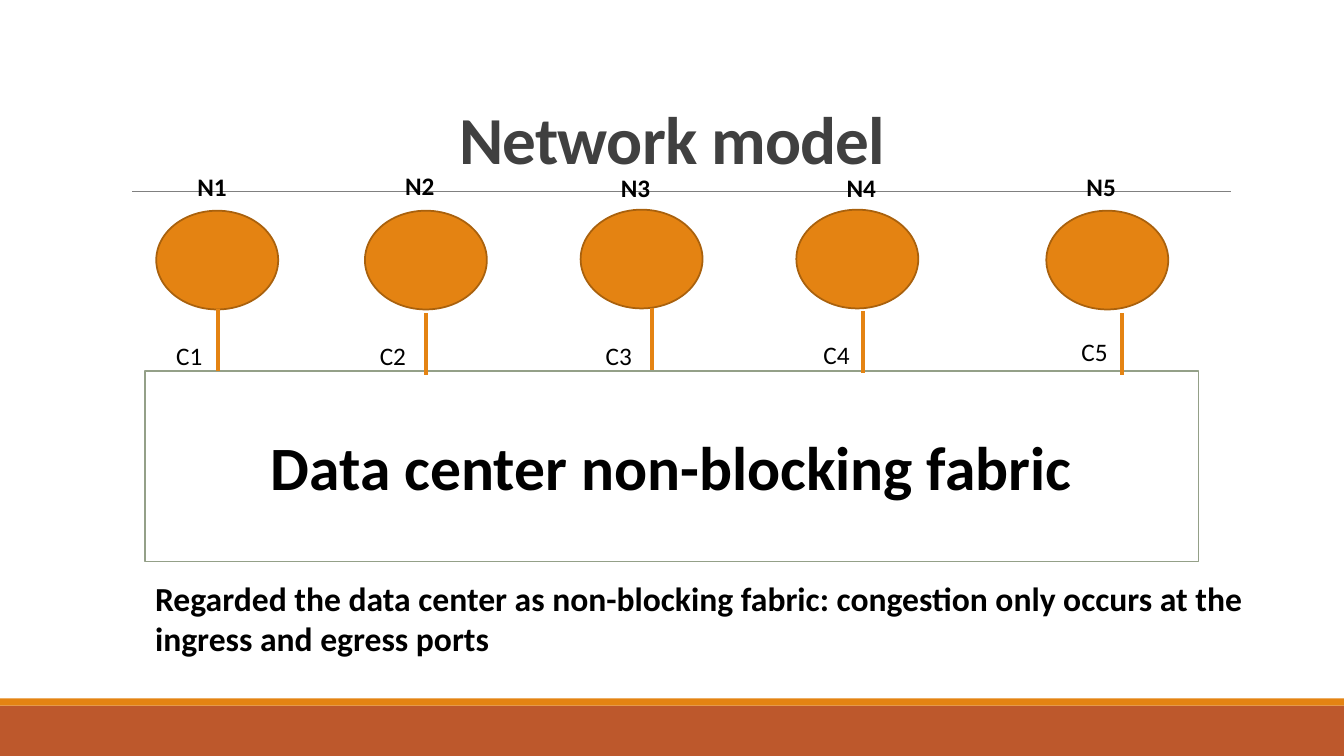
from dataclasses import dataclass

import lxml.etree
import pptx
import pptx.dml.color
import pptx.enum.shapes
import pptx.enum.text
import pptx.oxml.ns
import pptx.util

# Grid: 0.1 inch columns and rows
CELL = 0.1
COLUMNS, ROWS = 133.33, 75

ORANGE, RUST, BROWN = "E48312", "BD582C", "A9610D"
SAGE, GREY, CHARCOAL = "94A088", "808080", "404040"
BLACK, WHITE = "000000", "FFFFFF"

RECTANGLE = pptx.enum.shapes.MSO_SHAPE.RECTANGLE
OVAL = pptx.enum.shapes.MSO_SHAPE.OVAL
CENTER = pptx.enum.text.PP_ALIGN.CENTER
LEFT = pptx.enum.text.PP_ALIGN.LEFT
TOP = pptx.enum.text.MSO_ANCHOR.TOP
MIDDLE = pptx.enum.text.MSO_ANCHOR.MIDDLE
BOTTOM = pptx.enum.text.MSO_ANCHOR.BOTTOM
GROW = pptx.enum.text.MSO_AUTO_SIZE.SHAPE_TO_FIT_TEXT
FIXED = pptx.enum.text.MSO_AUTO_SIZE.NONE

NODE_SIZE = (12.1, 9.8)
NAME_SIZE = (9.1, 4)
CAPACITY_SIZE = (5, 4)
LINK_LENGTH = 6.1


@dataclass
class Node:
    """A host on the fabric; positions are (column, row)."""
    circle: tuple[float, float]
    name: tuple[float, float]
    link: tuple[float, float]
    capacity: tuple[float, float]


NODES = [
    Node((15.5, 20.9), (18.6, 16.5), (21.6, 30.7), (16.5, 33.3)),
    Node((36.2, 20.9), (39.2, 16.4), (42.3, 31.1), (36.7, 33.3)),
    Node((57.6, 20.8), (60.6, 16.6), (64.7, 30.6), (59.1, 33.3)),
    Node((79.0, 20.8), (83.0, 16.6), (85.6, 30.9), (80.7, 33.2)),
    Node((103.8, 20.9), (106.8, 16.5), (111.3, 31.1), (106.3, 32.9)),
]


def grid(*cells: float) -> list[pptx.util.Length]:
    return [pptx.util.Inches(cell * CELL) for cell in cells]


def color(value: str) -> pptx.dml.color.RGBColor:
    return pptx.dml.color.RGBColor.from_string(value)


def apply(target: object, values: dict) -> None:
    for name, value in values.items():
        setattr(target, name, value)


def write(shape, text: str, size: float, bold: bool = True, ink: str = BLACK,
          alignment=LEFT, anchor=TOP, auto_size=GROW):
    frame = shape.text_frame
    apply(frame, {"word_wrap": True, "auto_size": auto_size, "vertical_anchor": anchor})
    paragraph = frame.paragraphs[0]
    paragraph.alignment = alignment
    run = paragraph.add_run()
    run.text = text
    apply(run.font, {"name": "Calibri", "size": pptx.util.Pt(size), "bold": bold})
    run.font.color.rgb = color(ink)
    return paragraph


def add_text(slide, position: tuple, size: tuple, text: str, points: float, **style):
    box = slide.shapes.add_textbox(*grid(*position, *size))
    return write(box, text, points, **style)


def add_block(slide, kind, position: tuple, size: tuple, fill: str, outline: str = ""):
    shape = slide.shapes.add_shape(kind, *grid(*position, *size))
    shape.shadow.inherit = False
    shape.fill.solid()
    shape.fill.fore_color.rgb = color(fill)
    if outline:
        shape.line.color.rgb = color(outline)
        shape.line.width = pptx.util.Pt(1.25)
    else:
        shape.line.fill.background()
    return shape


def add_line(slide, start: tuple, end: tuple, ink: str, width: float) -> None:
    line = slide.shapes.add_connector(
        pptx.enum.shapes.MSO_CONNECTOR.STRAIGHT, *grid(*start, *end))
    line.line.color.rgb = color(ink)
    line.line.width = pptx.util.Pt(width)
    properties = line._element.spPr
    lxml.etree.SubElement(properties, pptx.oxml.ns.qn("a:effectLst"))


def main() -> None:
    presentation = pptx.Presentation()
    width, height = grid(COLUMNS, ROWS)
    apply(presentation, {"slide_width": width, "slide_height": height})
    slide = presentation.slides.add_slide(presentation.slide_layouts[6])

    # Footer bands and title rule
    add_block(slide, RECTANGLE, (0, 70), (COLUMNS, 5), RUST)
    add_block(slide, RECTANGLE, (0, 69.3), (COLUMNS, 0.7), ORANGE)
    add_line(slide, (13.1, 19), (122.1, 19), GREY, 0.5)

    # Title, slightly tightened
    title = add_text(slide, (11.7, 2.3), (110, 15.9), "Network model", 48, ink=CHARCOAL,
                     alignment=CENTER, anchor=BOTTOM, auto_size=FIXED)
    title.line_spacing = 0.85
    title.runs[0].font._element.set("spc", "-50")

    # Nodes and their names
    for node in NODES:
        add_block(slide, OVAL, node.circle, NODE_SIZE, ORANGE, BROWN)
    for number, node in enumerate(NODES, 1):
        add_text(slide, node.name, NAME_SIZE, f"N{number}", 18)

    # Fabric
    fabric = add_block(slide, RECTANGLE, (14.4, 36.8), (104.5, 18.9), WHITE, SAGE)
    write(fabric, "Data center non-blocking fabric", 44,
          alignment=CENTER, anchor=MIDDLE, auto_size=FIXED)

    # Links and their capacities
    for number, node in enumerate(NODES, 1):
        column, row = node.link
        add_line(slide, node.link, (column, row + LINK_LENGTH), ORANGE, 3)
        add_text(slide, node.capacity, CAPACITY_SIZE, f"C{number}", 18, bold=False)

    # Caption
    add_text(slide, (14.4, 56.8), (112.6, 9.1),
             "Regarded the data center as non-blocking fabric: congestion only occurs "
             "at the ingress and egress ports", 24)

    presentation.save("out.pptx")


if __name__ == "__main__":
    main()
